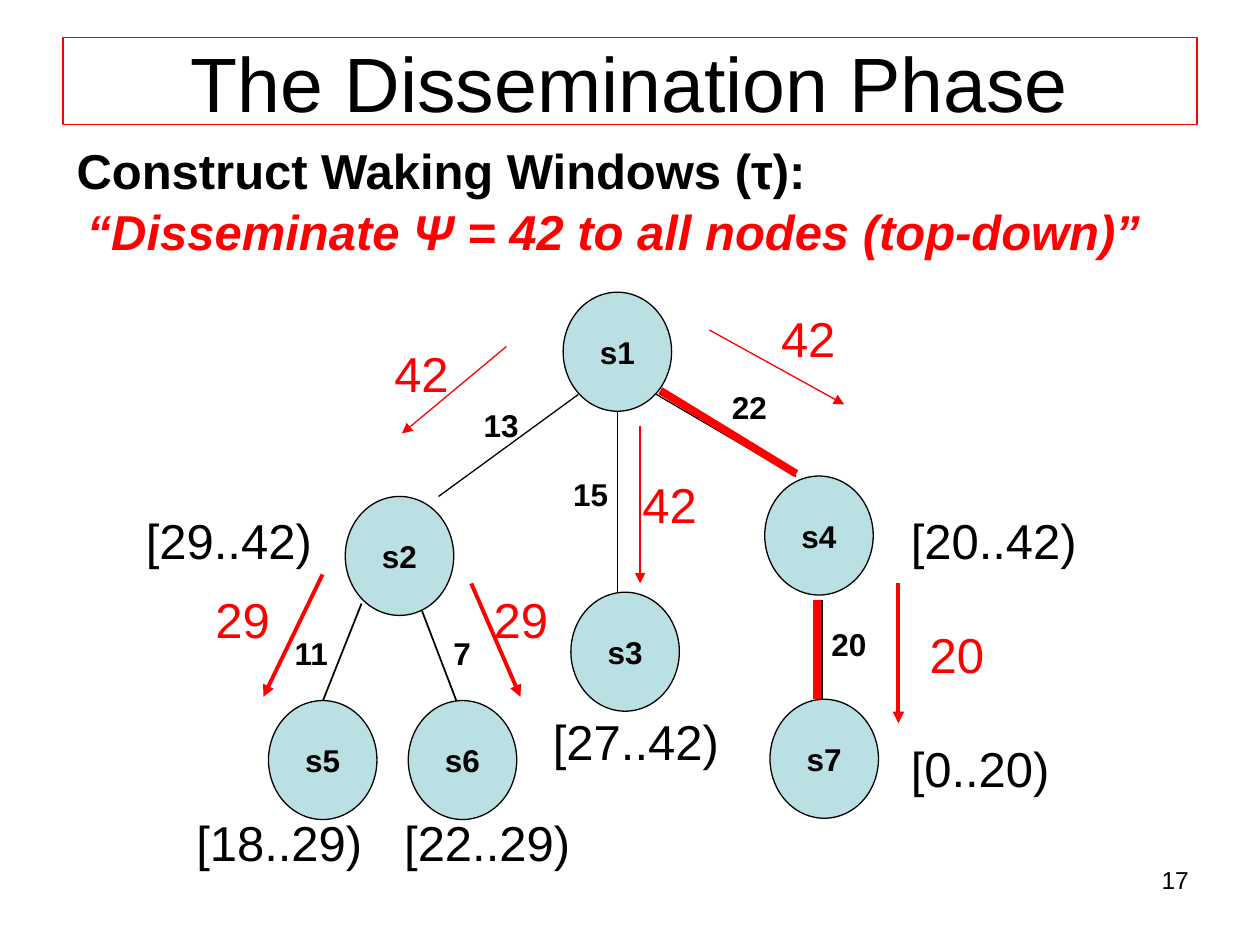
from lxml import etree
from pptx import Presentation
from pptx.dml.color import RGBColor
from pptx.enum import shapes, text
from pptx.oxml import ns
from pptx.util import Pt

BLACK = RGBColor(0x00, 0x00, 0x00)
RED = RGBColor(0xFF, 0x00, 0x00)
TEAL = RGBColor(0xBB, 0xE0, 0xE3)

NODE_W, NODE_H = 62, 68

NODES = [
    ("s1", 321.8, 167),
    ("s2", 197.3, 283.7),
    ("s3", 326.2, 338.4),
    ("s4", 437, 272),
    ("s5", 153.4, 400.3),
    ("s6", 233.3, 400.3),
    ("s7", 440, 399.6),
]

TREE_EDGES = [
    (241.2, 349.2, 263.5, 407.5, 1),
    (206.6, 344.9, 184.3, 401, 1),
    (352.8, 235.4, 352.8, 338.4, 1),
    (250.6, 283.7, 330.5, 225.4, 0.75),
    (455, 272.2, 375.1, 225.4, 0.75),
    (469.7, 399.6, 469.7, 342.7, 0.75),
]

CRITICAL_EDGES = [
    (377.3, 223.2, 455, 270.7),
    (466.9, 342.7, 466.9, 399.6),
]

EDGE_COSTS = [
    ("11", 161.3, 358.6),
    ("22", 411.1, 218.2),
    ("15", 320.4, 267.8),
    ("13", 269.3, 228.2),
    ("7", 252, 358.6),
    ("20", 468, 353.5),
]

SENT_VALUES = [
    ("42", 218.2, 193, 95),
    ("42", 439.2, 172.8, 95),
    ("42", 360, 267.8, 95),
    ("20", 524.2, 353.5, 130),
    ("29", 116, 333.4, 96),
    ("29", 275, 333.4, 63),
]

ARROWS = [
    (289.4, 198, 229.7, 247.7, 0.75),
    (405.4, 188.6, 482.4, 231.1, 0.75),
    (365.8, 243.4, 365.8, 333.4, 0.75),
    (513.4, 333.4, 513.4, 413.3, 2.25),
    (184.3, 328.3, 150.5, 398.2, 2.25),
    (269.3, 333.4, 297.4, 398.2, 2.25),
]

WINDOWS = [
    ("[29..42)", 76.3, 288, 136),
    ("[20..42)", 513.4, 288, 136),
    ("[0..20)", 513.4, 418.3, 136),
    ("[27..42)", 308.9, 403.2, 114),
    ("[18..29)", 105.1, 460.8, 113),
    ("[22..29)", 223.9, 460.8, 114),
]


class TreeSlide:
    font = "Arial"

    def __init__(self, s):
        self.s = s

    def set_text(self, tf, words, size, color=BLACK, bold=False, italic=False,
                 align=text.PP_ALIGN.LEFT):
        p = tf.paragraphs[0]
        p.text = words
        p.alignment = align
        p.font.name = self.font
        p.font.size = Pt(size)
        p.font.color.rgb = color
        p.font.bold = bold
        p.font.italic = italic

    def title(self, words, x, y, w, h):
        sp = self.s.shapes.title
        sp.left, sp.top, sp.width, sp.height = Pt(x), Pt(y), Pt(w), Pt(h)
        sp.line.color.rgb = RED
        sp.line.width = Pt(0.75)
        tf = sp.text_frame
        tf.vertical_anchor = text.MSO_ANCHOR.MIDDLE
        tf.auto_size = text.MSO_AUTO_SIZE.NONE
        self.set_text(tf, words, 44, align=text.PP_ALIGN.CENTER)

    def label(self, words, x, y, w, h=41, size=28, **style):
        tf = self.s.shapes.add_textbox(Pt(x), Pt(y), Pt(w), Pt(h)).text_frame
        tf.word_wrap = True
        self.set_text(tf, words, size, **style)

    def node(self, name, x, y):
        sp = self.s.shapes.add_shape(shapes.MSO_SHAPE.OVAL, Pt(x), Pt(y),
                                     Pt(NODE_W), Pt(NODE_H))
        sp.shadow.inherit = False
        sp.fill.solid()
        sp.fill.fore_color.rgb = TEAL
        sp.line.color.rgb = BLACK
        sp.line.width = Pt(0.75)
        tf = sp.text_frame
        tf.word_wrap = False
        tf.vertical_anchor = text.MSO_ANCHOR.MIDDLE
        self.set_text(tf, name, 18, bold=True, align=text.PP_ALIGN.CENTER)

    def line(self, x1, y1, x2, y2, width, color=BLACK, arrow=False):
        cx = self.s.shapes.add_connector(shapes.MSO_CONNECTOR.STRAIGHT,
                                         Pt(x1), Pt(y1), Pt(x2), Pt(y2))
        cx.line.color.rgb = color
        cx.line.width = Pt(width)
        sp_pr = cx._element.spPr
        if arrow:
            etree.SubElement(sp_pr.find(ns.qn("a:ln")), ns.qn("a:tailEnd"),
                             type="triangle")
        etree.SubElement(sp_pr, ns.qn("a:effectLst"))


def main():
    prs = Presentation()
    prs.slide_width, prs.slide_height = Pt(720), Pt(540)
    slide = TreeSlide(prs.slides.add_slide(prs.slide_layouts[5]))

    slide.title("The Dissemination Phase", 36, 21.6, 648, 49.7)
    slide.label("Construct Waking Windows (τ):", 36.7, 77, 487, bold=True)
    slide.label("“Disseminate Ψ = 42 to all nodes (top-down)”", 42.5, 111.6, 635,
                color=RED, bold=True, italic=True)

    for edge in TREE_EDGES:
        slide.line(*edge)
    for node in NODES:
        slide.node(*node)
    for edge in CRITICAL_EDGES:
        slide.line(*edge, 4.5, RED)
    for cost, x, y in EDGE_COSTS:
        slide.label(cost, x, y, 62, 29, 18, bold=True)
    for value in SENT_VALUES:
        slide.label(*value, color=RED)
    for arrow in ARROWS:
        slide.line(*arrow, RED, arrow=True)
    for window in WINDOWS:
        slide.label(*window)

    slide.label("17", 518.4, 491, 168, 37.5, 14, align=text.PP_ALIGN.RIGHT)
    prs.save("out.pptx")


if __name__ == "__main__":
    main()
